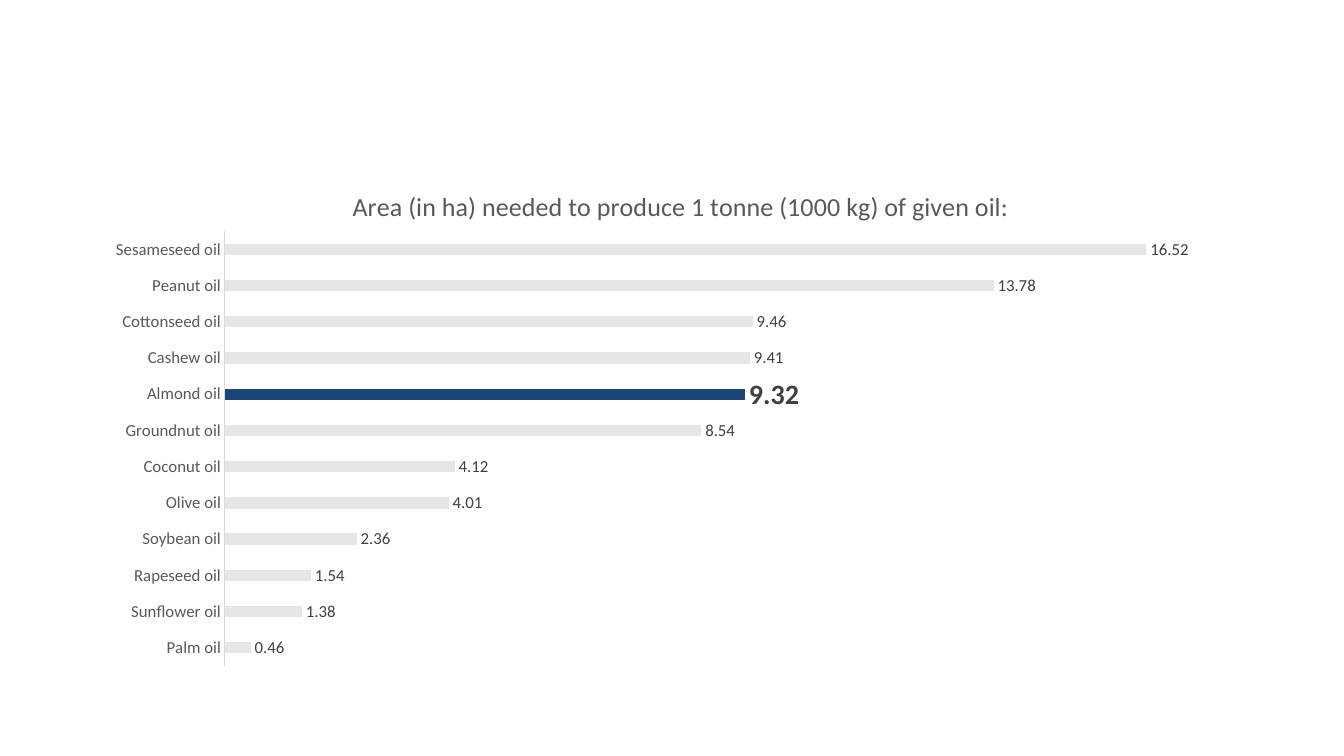
from lxml.etree import SubElement
from pptx import Presentation
from pptx.chart.data import CategoryChartData
from pptx.dml.color import RGBColor
from pptx.enum.chart import (
    XL_CHART_TYPE as ChartType,
    XL_LABEL_POSITION as LabelPosition,
    XL_TICK_MARK as TickMark,
)
from pptx.oxml.ns import qn
from pptx.util import Inches, Pt

TITLE = "Area (in ha) needed to produce 1 tonne (1000 kg) of given oil:"
HECTARES = {
    "Palm oil": 0.46,
    "Sunflower oil": 1.38,
    "Rapeseed oil": 1.54,
    "Soybean oil": 2.36,
    "Olive oil": 4.01,
    "Coconut oil": 4.12,
    "Groundnut oil": 8.54,
    "Almond oil": 9.32,
    "Cashew oil": 9.41,
    "Cottonseed oil": 9.46,
    "Peanut oil": 13.78,
    "Sesameseed oil": 16.52,
}
HIGHLIGHT = "Almond oil"

BAR = RGBColor(0xE7, 0xE6, 0xE6)
ACCENT = RGBColor(0x1B, 0x44, 0x79)
TEXT = RGBColor(0x59, 0x59, 0x59)
VALUE = RGBColor(0x40, 0x40, 0x40)
AXIS = RGBColor(0xD9, 0xD9, 0xD9)

FONTS = {
    "title": {"size": Pt(18.6), "bold": False, "color": TEXT},
    "category": {"size": Pt(12), "bold": False, "color": TEXT},
    "value": {"size": Pt(12), "bold": False, "color": VALUE},
    "highlight": {"size": Pt(20), "bold": True, "color": VALUE},
}
TITLE_PLACE = {"x": 0.22, "y": 0.04}
PLOT_PLACE = {"x": 0.114, "y": 0.132, "w": 0.866, "h": 0.846}


def style(font, role):
    font.name = "Calibri"
    for name, value in FONTS[role].items():
        if name == "color":
            font.color.rgb = value
        else:
            setattr(font, name, value)


def place(layout, shares, inner=False):
    for child in list(layout):
        layout.remove(child)
    manual = SubElement(layout, qn("c:manualLayout"))
    if inner:
        SubElement(manual, qn("c:layoutTarget")).set("val", "inner")
    for key in ("x", "y"):
        SubElement(manual, qn(f"c:{key}Mode")).set("val", "edge")
    for key, share in shares.items():
        SubElement(manual, qn(f"c:{key}")).set("val", str(share))


def layout_of(parent, index):
    layout = parent.find(qn("c:layout"))
    if layout is None:
        layout = SubElement(parent, qn("c:layout"))
        parent.insert(index, layout)
    return layout


deck = Presentation()
deck.slide_width, deck.slide_height = Inches(13.33), Inches(7.5)
page = deck.slides.add_slide(deck.slide_layouts[6])

data = CategoryChartData()
data.categories = list(HECTARES)
data.add_series("Series 1", list(HECTARES.values()))
frame = [Inches(length) for length in (0.92, 1.62, 11.5, 5.1)]
chart = page.shapes.add_chart(ChartType.BAR_CLUSTERED, *frame, data).chart
chart.has_legend = False
chart.font.name, chart.font.size = "Calibri", Pt(10)

title = chart.chart_title
title.text_frame.text = TITLE
style(title.text_frame.paragraphs[0].runs[0].font, "title")
title.include_in_layout = False
place(layout_of(title.element if hasattr(title, "element") else chart.element.find(".//" + qn("c:title")), 1), TITLE_PLACE)

categories = chart.category_axis
categories.major_tick_mark = categories.minor_tick_mark = TickMark.NONE
categories.format.line.color.rgb = AXIS
categories.format.line.width = Pt(0.75)
style(categories.tick_labels.font, "category")

values = chart.value_axis
values.minimum_scale, values.maximum_scale = 0, 18
values.has_major_gridlines = False
values.visible = False

plot = chart.plots[0]
plot.gap_width, plot.vary_by_categories = 219, False
place(layout_of(chart.element.find(".//" + qn("c:plotArea")), 0), PLOT_PLACE, inner=True)

bars = plot.series[0]
bars.format.fill.solid()
bars.format.fill.fore_color.rgb = BAR
labels = bars.data_labels
labels.show_value = True
labels.position = LabelPosition.OUTSIDE_END
style(labels.font, "value")

accent = bars.points[list(HECTARES).index(HIGHLIGHT)]
accent.format.fill.solid()
accent.format.fill.fore_color.rgb = ACCENT
style(accent.data_label.font, "highlight")
accent.data_label.position = LabelPosition.OUTSIDE_END

deck.save("out.pptx")
